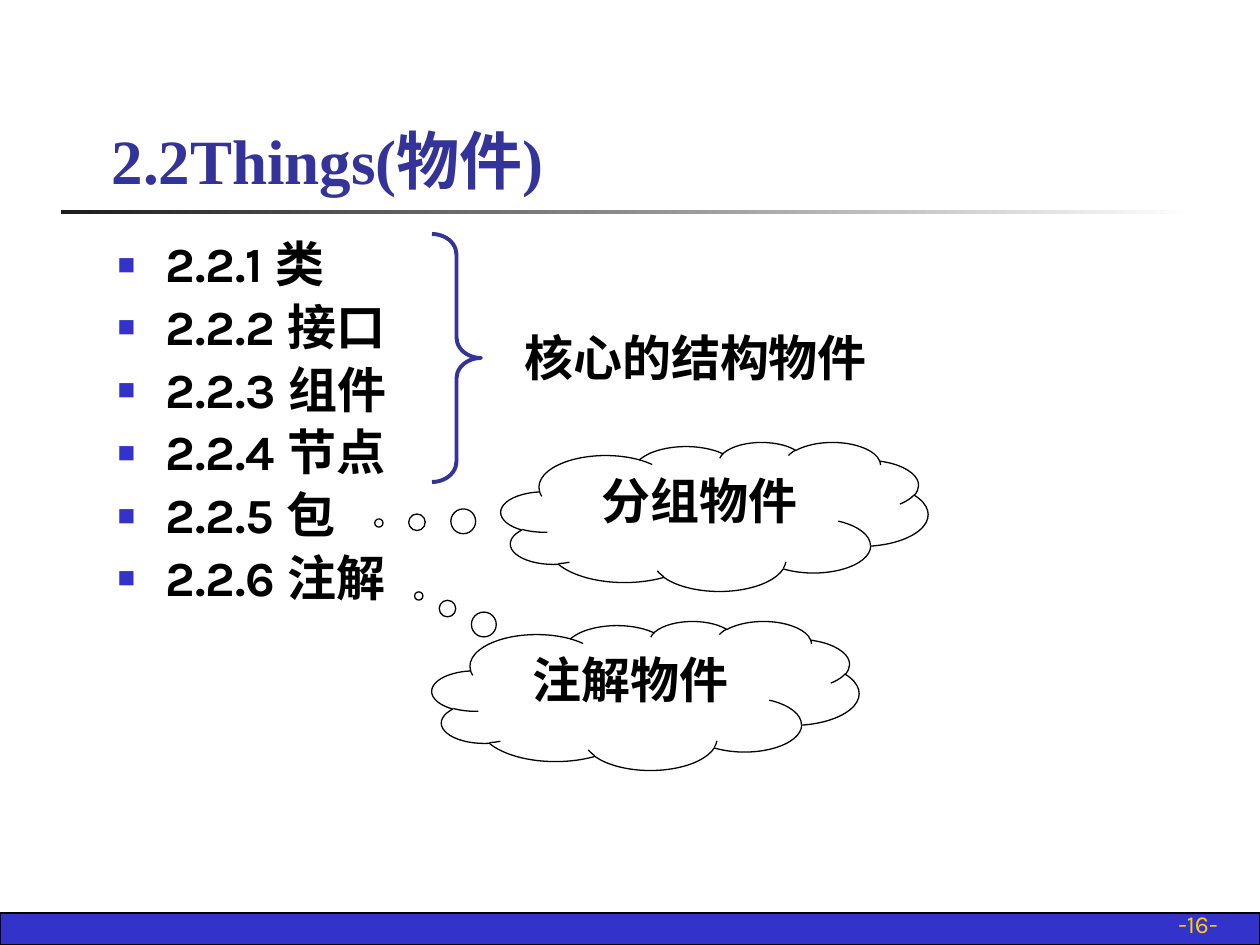
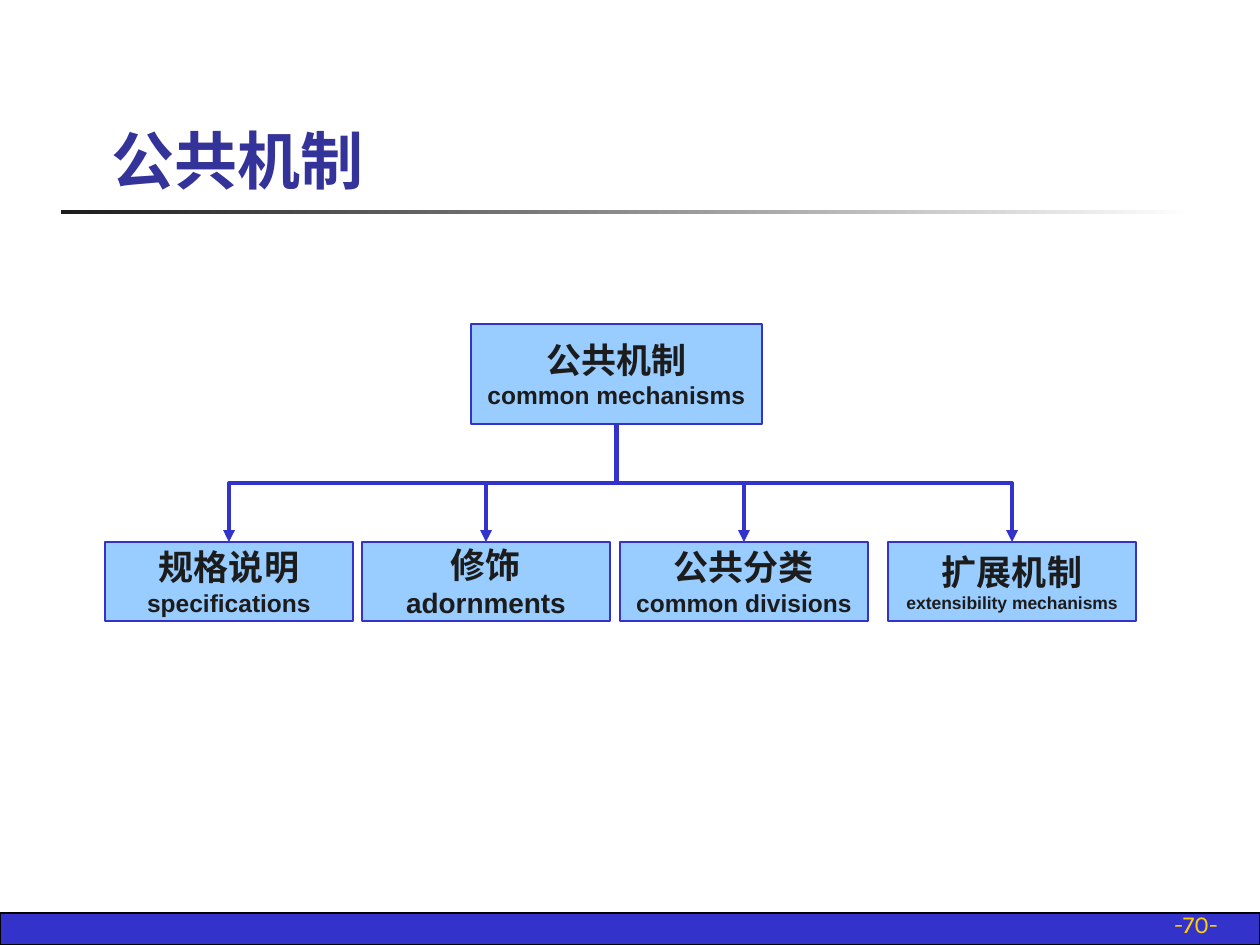
from dataclasses import dataclass

from lxml.etree import SubElement
from pptx import Presentation
from pptx.dml.color import RGBColor
from pptx.enum.shapes import MSO_CONNECTOR as Connector, MSO_SHAPE as Preset
from pptx.enum.text import MSO_ANCHOR as Anchor, MSO_AUTO_SIZE as AutoSize, PP_ALIGN as Align
from pptx.oxml.ns import qn
from pptx.util import Emu, Pt

EMU_PER_PX = 914400 / 126


def px(length: float) -> Emu:
    return Emu(round(length * EMU_PER_PX))


@dataclass(frozen=True)
class Theme:
    band: RGBColor = RGBColor(0x33, 0x33, 0xCC)
    title: RGBColor = RGBColor(0x33, 0x33, 0x99)
    node: RGBColor = RGBColor(0x99, 0xCC, 0xFF)
    ink: RGBColor = RGBColor(0x1C, 0x1C, 0x1C)
    black: RGBColor = RGBColor(0, 0, 0)
    white: RGBColor = RGBColor(255, 255, 255)
    gold: RGBColor = RGBColor(0xFF, 0xCF, 0x01)
    title_font: str = "Times New Roman"
    body_font: str = "Karla"
    node_font: str = "Arial"
    title_size: int = 36
    body_size: int = 28
    node_size: int = 20
    footer_size: int = 14
    hairline: float = 0.75
    node_line: float = 1.5
    thick_line: float = 2.25


THEME = Theme()


@dataclass(frozen=True)
class Frame:
    left: int
    top: int
    width: int
    height: int

    def lengths(self) -> tuple[Emu, Emu, Emu, Emu]:
        return px(self.left), px(self.top), px(self.width), px(self.height)


@dataclass(frozen=True)
class Cloud:
    text: str
    frame: Frame
    tail: tuple[float, float]


@dataclass(frozen=True)
class Node:
    name: str
    english: str
    english_size: int
    frame: Frame


THINGS = ["2.2.1 类", "2.2.2 接口", "2.2.3 组件", "2.2.4 节点", "2.2.5 包", "2.2.6 注解"]
CLOUDS = [
    Cloud("分组物件", Frame(501, 442, 427, 149), (-0.786, 0.044)),
    Cloud("注解物件", Frame(432, 621, 427, 149), (-0.531, -0.668)),
]
ROOT = Node("公共机制", "common mechanisms", 14, Frame(471, 324, 291, 100))
BRANCHES = [
    Node(name, english, size, Frame(left, 542, 248, 79))
    for name, english, size, left in [
        ("规格说明", "specifications", 14, 105),
        ("修饰", "adornments", 16, 362),
        ("公共分类", "common divisions", 14, 620),
        ("扩展机制", "extensibility mechanisms", 10, 888),
    ]
]


def style(para, name: str, size: float, color: RGBColor, bold: bool = True) -> None:
    font = para.font
    font.name, font.size, font.bold = name, Pt(size), bold
    font.color.rgb = color


def place(shape, frame: Frame) -> None:
    shape.left, shape.top, shape.width, shape.height = frame.lengths()


def add_preset(page, preset, frame: Frame, fill=None, line=None, weight: float = 0):
    shape = page.shapes.add_shape(preset, *frame.lengths())
    shape.shadow.inherit = False
    if fill is None:
        shape.fill.background()
    else:
        shape.fill.solid()
        shape.fill.fore_color.rgb = fill
    if line is None:
        shape.line.fill.background()
    else:
        shape.line.color.rgb = line
        shape.line.width = Pt(weight)
    return shape


def add_text(page, text: str, frame: Frame):
    box = page.shapes.add_textbox(*frame.lengths())
    box.text_frame.word_wrap = True
    para = box.text_frame.paragraphs[0]
    para.text = text
    return box.text_frame, para


def add_page(deck, layout: int, title: str, number: int):
    page = deck.slides.add_slide(deck.slide_layouts[layout])
    add_preset(page, Preset.RECTANGLE, Frame(0, 913, 1260, 32),
               THEME.band, THEME.black, THEME.hairline)

    rule = add_preset(page, Preset.RECTANGLE, Frame(61, 210, 1134, 4))
    rule.fill.gradient()
    rule.fill.gradient_angle = 0
    for stop, color in zip(rule.fill.gradient_stops, (THEME.ink, THEME.white)):
        stop.color.rgb = color

    frame, para = add_text(page, f"-{number}-", Frame(968, 903, 262, 42))
    frame.vertical_anchor = Anchor.BOTTOM
    para.alignment = Align.RIGHT
    style(para, THEME.body_font, THEME.footer_size, THEME.gold, bold=False)

    heading = page.shapes.title
    place(heading, Frame(99, 45, 1074, 158))
    heading.text_frame.text = title
    heading.text_frame.auto_size = AutoSize.NONE
    heading.text_frame.vertical_anchor = Anchor.BOTTOM
    para = heading.text_frame.paragraphs[0]
    para.alignment = Align.LEFT
    style(para, THEME.title_font, THEME.title_size, THEME.title)
    return page


def add_bullet(para) -> None:
    props = para._p.get_or_add_pPr()
    props.set("marL", str(px(48)))
    props.set("indent", str(px(-48)))
    color = SubElement(props, qn("a:buClr"))
    SubElement(color, qn("a:srgbClr"), val=str(THEME.band))
    SubElement(props, qn("a:buSzPct"), val="60000")
    SubElement(props, qn("a:buChar"), char="■")


def fill_list(body, items: list[str]) -> None:
    place(body, Frame(105, 234, 853, 615))
    frame = body.text_frame
    frame.text = "\n".join(items)
    frame.auto_size = AutoSize.NONE
    for para in frame.paragraphs:
        add_bullet(para)
        para.line_spacing = 0.9
        style(para, THEME.body_font, THEME.body_size, THEME.black)
    frame.paragraphs[0].space_before = Pt(0)


def add_cloud(page, cloud: Cloud) -> None:
    shape = add_preset(page, Preset.CLOUD_CALLOUT, cloud.frame,
                       line=THEME.black, weight=THEME.hairline)
    shape.adjustments[0], shape.adjustments[1] = cloud.tail
    frame = shape.text_frame
    frame.text = cloud.text
    frame.vertical_anchor = Anchor.TOP
    para = frame.paragraphs[0]
    para.alignment = Align.CENTER
    style(para, THEME.body_font, THEME.body_size, THEME.black)


def add_node(page, node: Node):
    shape = add_preset(page, Preset.RECTANGLE, node.frame,
                       THEME.node, THEME.band, THEME.node_line)
    frame = shape.text_frame
    frame.text = f"{node.name}\n{node.english}"
    frame.word_wrap = False
    frame.vertical_anchor = Anchor.MIDDLE
    for para, size in zip(frame.paragraphs, (THEME.node_size, node.english_size)):
        para.alignment = Align.CENTER
        style(para, THEME.node_font, size, THEME.ink)
    return shape


def add_branch_arrow(page, parent, child) -> None:
    arrow = page.shapes.add_connector(Connector.ELBOW, 0, 0, 0, 0)
    arrow.begin_connect(parent, 2)
    arrow.end_connect(child, 0)
    across = arrow.end_x - arrow.begin_x
    drop = arrow.end_y - arrow.begin_y
    middle_x = (arrow.begin_x + arrow.end_x) // 2
    middle_y = (arrow.begin_y + arrow.end_y) // 2
    arrow.width, arrow.height = drop, abs(across)
    arrow.left, arrow.top = middle_x - drop // 2, middle_y - abs(across) // 2
    props = arrow._element.spPr
    transform = props.find(qn("a:xfrm"))
    transform.set("rot", "16200000" if across > 0 else "5400000")
    transform.set("flipH", "1" if across > 0 else "0")
    transform.set("flipV", "0")
    arrow.line.color.rgb = THEME.band
    arrow.line.width = Pt(THEME.thick_line)
    SubElement(props.find(qn("a:ln")), qn("a:tailEnd"), type="triangle")
    SubElement(props, qn("a:effectLst"))


def build_things(deck) -> None:
    page = add_page(deck, 1, "2.2Things(物件)", 16)
    fill_list(page.placeholders[1], THINGS)
    brace = add_preset(page, Preset.RIGHT_BRACE, Frame(432, 234, 49, 248),
                       line=THEME.title, weight=THEME.thick_line)
    brace.adjustments[0], brace.adjustments[1] = 0.42, 0.5
    _, para = add_text(page, "核心的结构物件", Frame(512, 321, 427, 72))
    style(para, THEME.body_font, THEME.body_size, THEME.black)
    for cloud in CLOUDS:
        add_cloud(page, cloud)


def build_mechanisms(deck) -> None:
    page = add_page(deck, 5, "公共机制", 70)
    root = add_node(page, ROOT)
    for branch in BRANCHES:
        add_branch_arrow(page, root, add_node(page, branch))


def main() -> None:
    deck = Presentation()
    deck.slide_width, deck.slide_height = px(1260), px(945)
    build_things(deck)
    build_mechanisms(deck)
    deck.save("out.pptx")


if __name__ == "__main__":
    main()
